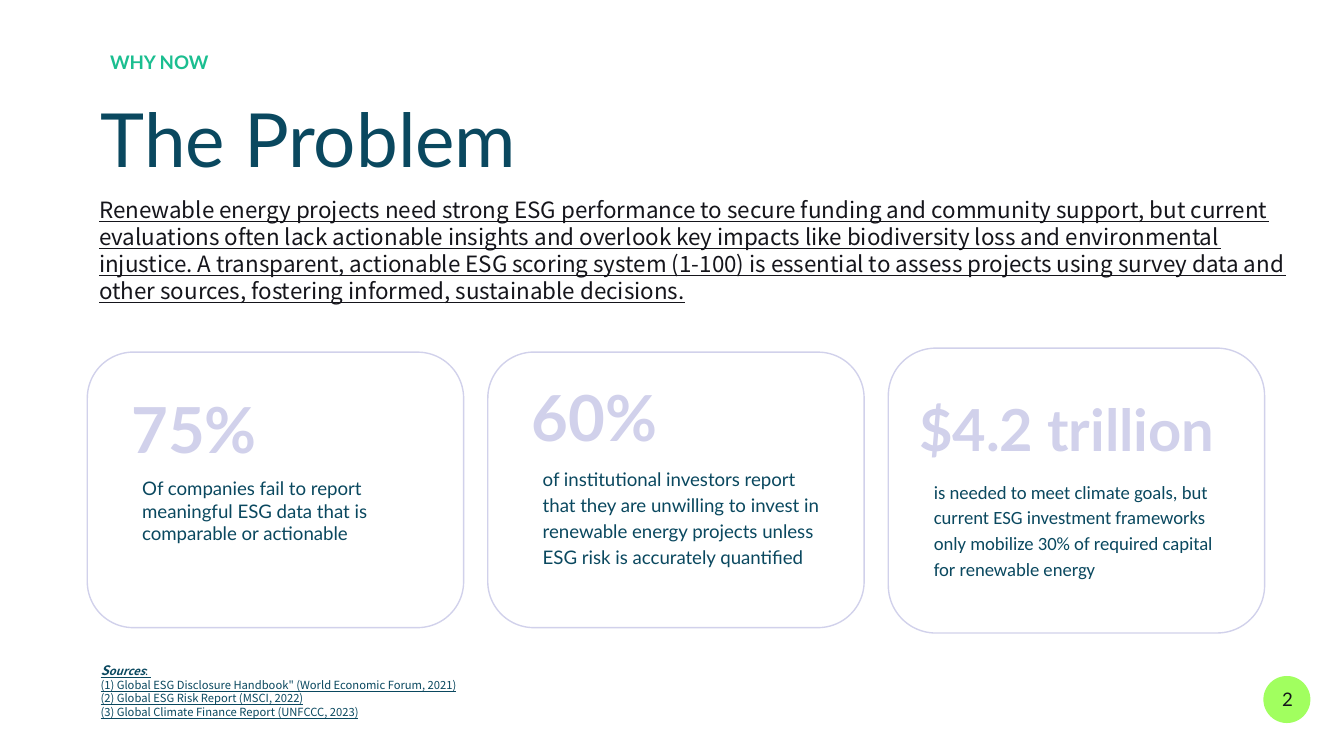
from pptx import Presentation
from pptx.dml.color import RGBColor
from pptx.enum import shapes, text
from pptx.util import Inches, Pt

NAVY = RGBColor(0x0A, 0x48, 0x5F)
INK = RGBColor(0x15, 0x15, 0x1B)
GREEN = RGBColor(0x1B, 0xBE, 0x90)
LIME = RGBColor(0xA1, 0xFF, 0x5F)
LILAC = RGBColor(0xD1, 0xD1, 0xEB)
WHITE = RGBColor(0xFF, 0xFF, 0xFF)
SANS = "Noto Sans CJK KR"

PROBLEM = (
    "Renewable energy projects need strong ESG performance to secure funding and "
    "community support, but current evaluations often lack actionable insights and "
    "overlook key impacts like biodiversity loss and environmental injustice. A "
    "transparent, actionable ESG scoring system (1-100) is essential to assess projects "
    "using survey data and other sources, fostering informed, sustainable decisions."
)
SOURCES = [
    '(1) Global ESG Disclosure Handbook" (World Economic Forum, 2021)',
    "(2) Global ESG Risk Report (MSCI, 2022)",
    "(3) Global Climate Finance Report (UNFCCC, 2023)",
]
# Each card: top, height; figure text, box, size, spacing; caption text, box, font, spacing
CARDS = [
    (2.62, 2.05, "75%", (0.88, 2.8, 1.66, 0.52), 34, 1.0,
     "Of companies fail to report meaningful ESG data that is comparable or actionable",
     (0.96, 3.45, 2.18, 1.14), "Lato", 1.0),
    (2.62, 2.05, "60%", (3.86, 2.71, 1.66, 0.52), 34, 1.0,
     "of institutional investors report that they are unwilling to invest in renewable "
     "energy projects unless ESG risk is accurately quantified",
     (3.94, 3.36, 2.34, 1.14), "Lato", 1.15),
    (2.59, 2.12, "$4.2 trillion", (6.74, 2.75, 3.08, 0.69), 31, 1.15,
     "is needed to meet climate goals, but current ESG investment frameworks only "
     "mobilize 30% of required capital for renewable energy",
     (6.85, 3.45, 2.34, 1.14), "Calibri", 1.15),
]
CARD_LEFT, CARD_STEP, CARD_WIDTH = 0.65, 2.98, 2.8


def style_run(r, size, color, font="Lato", bold=False, italic=False, underline=False):
    f = r.font
    f.name, f.size, f.color.rgb = font, Pt(size), color
    f.bold, f.italic, f.underline = bold, italic, underline


def set_frame(sp, anchor=text.MSO_ANCHOR.TOP):
    tf = sp.text_frame
    tf.word_wrap = True
    tf.auto_size = text.MSO_AUTO_SIZE.NONE
    tf.vertical_anchor = anchor
    tf.margin_left = tf.margin_right = tf.margin_top = tf.margin_bottom = Inches(0.1)
    return tf


def add_text(s, box, words, size, color, anchor=text.MSO_ANCHOR.TOP,
             align=text.PP_ALIGN.LEFT, spacing=1.0, **style):
    sp = s.shapes.add_textbox(*map(Inches, box))
    tf = set_frame(sp, anchor)
    tf.text = words
    p = tf.paragraphs[0]
    p.alignment, p.line_spacing = align, spacing
    for r in p.runs:
        style_run(r, size, color, **style)


def add_title(s, words):
    sp = s.shapes.title
    sp.left, sp.top, sp.width, sp.height = map(Inches, (0.65, 0.59, 7.81, 0.97))
    tf = set_frame(sp)
    tf.text = words
    p = tf.paragraphs[0]
    p.alignment = text.PP_ALIGN.LEFT
    p.line_spacing = 1.0
    style_run(p.runs[0], 40, NAVY)


def add_shape(s, kind, box, fill, line=None):
    sp = s.shapes.add_shape(kind, *map(Inches, box))
    sp.shadow.inherit = False
    sp.fill.solid()
    sp.fill.fore_color.rgb = fill
    if line is None:
        sp.line.fill.background()
    else:
        sp.line.color.rgb = line
        sp.line.width = Pt(0.75)
    return sp


def add_card(s, left, card):
    (top, height, figure, figure_box, figure_size, figure_spacing,
     caption, caption_box, font, spacing) = card
    sp = add_shape(s, shapes.MSO_SHAPE.ROUNDED_RECTANGLE,
                   (left, top, CARD_WIDTH, height), WHITE, LILAC)
    sp.adjustments[0] = 0.167
    add_text(s, caption_box, caption, 10, NAVY, font=font, spacing=spacing)
    add_text(s, figure_box, figure, figure_size, LILAC, bold=True,
             spacing=figure_spacing)


def add_sources(s):
    sp = s.shapes.add_textbox(*map(Inches, (0.65, 4.83, 8.08, 0.65)))
    p = set_frame(sp).paragraphs[0]
    # Heading with a larger initial, then one line per source
    for words, size, strong in [("S", 7, True), ("ources", 6, True), (": ", 6, False)]:
        r = p.add_run()
        r.text = words
        style_run(r, size, NAVY, SANS, bold=strong, italic=strong, underline=True)
    for source in SOURCES:
        p.add_line_break()
        r = p.add_run()
        r.text = source
        style_run(r, 6, NAVY, SANS, underline=True)


def add_page_number(s, number):
    add_shape(s, shapes.MSO_SHAPE.OVAL, (9.4, 5.03, 0.35, 0.35), LIME)
    add_text(s, (9.28, 4.99, 0.6, 0.43), number, 10, INK,
             anchor=text.MSO_ANCHOR.MIDDLE, align=text.PP_ALIGN.CENTER)


def main():
    prs = Presentation()
    prs.slide_width = Inches(10)
    prs.slide_height = int(prs.slide_width * 9 / 16)
    s = prs.slides.add_slide(prs.slide_layouts[5])

    # Heading and statement
    add_title(s, "The Problem")
    add_text(s, (0.72, 0.25, 5.68, 0.43), "WHY NOW", 10, GREEN,
             anchor=text.MSO_ANCHOR.MIDDLE, bold=True)
    add_text(s, (0.64, 1.36, 9.24, 0.93), PROBLEM, 12, INK,
             font=SANS, underline=True)

    # Key figures
    for i, card in enumerate(CARDS):
        add_card(s, CARD_LEFT + i * CARD_STEP, card)

    # Footer
    add_sources(s)
    add_page_number(s, "2")
    prs.save("out.pptx")


if __name__ == "__main__":
    main()
